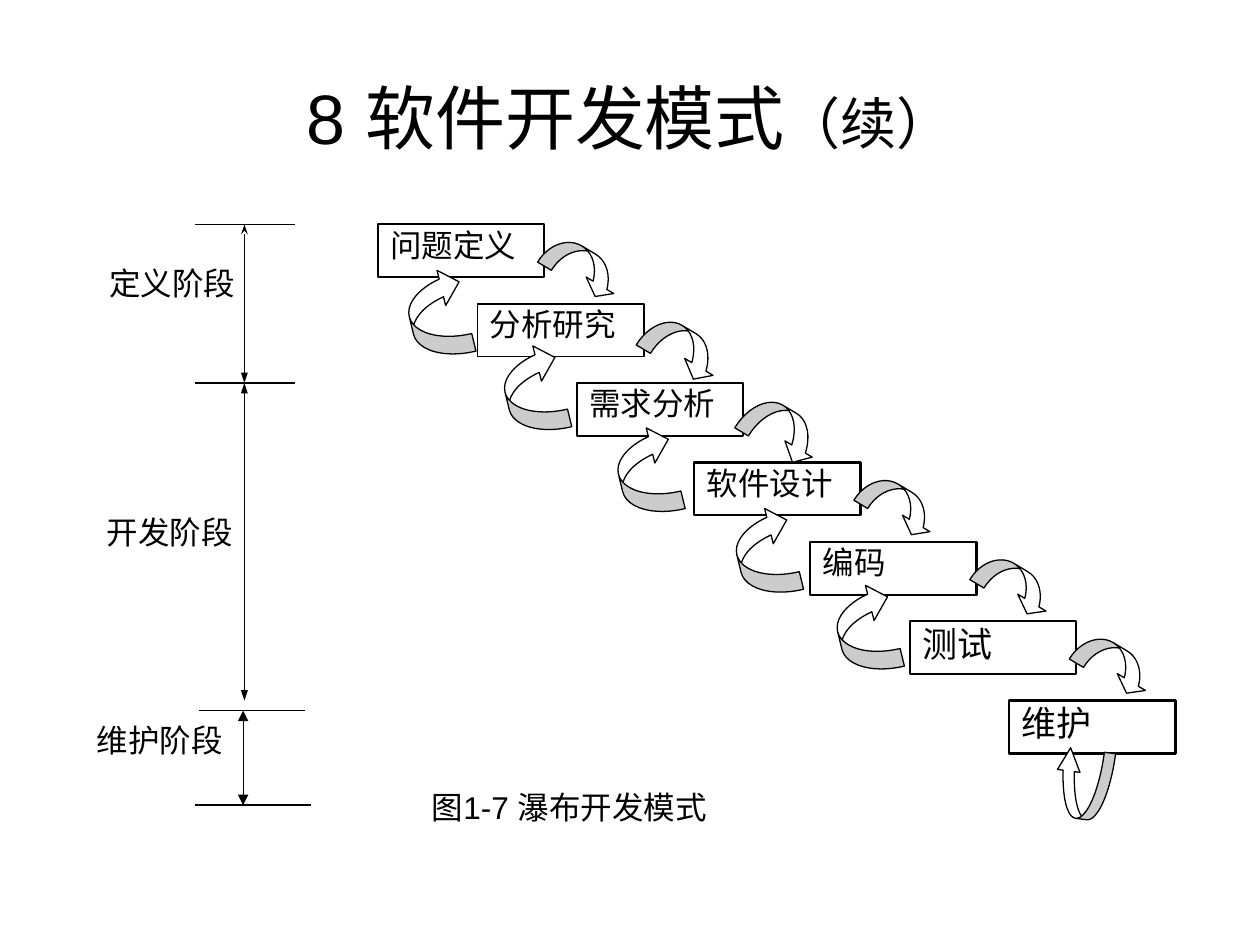
from dataclasses import dataclass

from lxml import etree
from pptx import Presentation
from pptx.dml.color import RGBColor
from pptx.enum.shapes import MSO_CONNECTOR, MSO_SHAPE
from pptx.enum.text import MSO_ANCHOR, PP_ALIGN
from pptx.oxml.ns import qn
from pptx.util import Inches, Pt

RECT = MSO_SHAPE.RECTANGLE
DOWN_ARROW = MSO_SHAPE.CURVED_DOWN_ARROW
LEFT_ARROW = MSO_SHAPE.CURVED_LEFT_ARROW
STRAIGHT = MSO_CONNECTOR.STRAIGHT
TOP, MIDDLE = MSO_ANCHOR.TOP, MSO_ANCHOR.MIDDLE
LEFT, CENTER, JUSTIFY = PP_ALIGN.LEFT, PP_ALIGN.CENTER, PP_ALIGN.JUSTIFY
TITLE_ONLY = 5


@dataclass(frozen=True)
class Theme:
    font: str = "Arial"
    ink: RGBColor = RGBColor(0, 0, 0)
    paper: RGBColor = RGBColor(255, 255, 255)
    title: int = 40
    suffix: int = 32
    large: int = 20
    body: int = 18
    thin: float = 0.75
    border: float = 1.25


def grid(cells):
    """Lengths on a grid of 100 columns by 75 rows, each a tenth of an inch."""
    return Inches(round(cells / 10, 3))


class SlideBuilder:
    def __init__(self, page, theme):
        self.page = page
        self.theme = theme

    def add_run(self, para, text, size):
        span = para.add_run()
        span.text = text
        span.font.name = self.theme.font
        span.font.size = Pt(size)
        span.font.color.rgb = self.theme.ink

    def title(self, frame, spans):
        box = self.page.shapes.title
        box.left, box.top, box.width, box.height = map(grid, frame)
        box.text_frame.vertical_anchor = MIDDLE
        para = box.text_frame.paragraphs[0]
        para.alignment = CENTER
        for text, size in spans:
            self.add_run(para, text, size)

    def text(self, frame, text, align=JUSTIFY):
        box = self.page.shapes.add_textbox(*map(grid, frame))
        box.text_frame.word_wrap = True
        para = box.text_frame.paragraphs[0]
        para.alignment = align
        self.add_run(para, text, self.theme.body)
        return para

    def shape(self, kind, frame, width):
        shape = self.page.shapes.add_shape(kind, *map(grid, frame))
        shape.shadow.inherit = False
        shape.line.color.rgb = self.theme.ink
        shape.line.width = Pt(width)
        return shape

    def stage(self, frame, text, size, align, width):
        box = self.shape(RECT, frame, width)
        box.fill.background()
        body = box.text_frame
        body.word_wrap = True
        body.vertical_anchor = TOP
        body.margin_left = body.margin_right = grid(1)
        body.margin_top = body.margin_bottom = grid(0.1)
        para = body.paragraphs[0]
        para.alignment = align
        self.add_run(para, text, size)

    def curved_arrow(self, kind, frame, rotation, adjustments):
        arrow = self.shape(kind, frame, self.theme.thin)
        arrow.fill.solid()
        arrow.fill.fore_color.rgb = self.theme.paper
        arrow.rotation = rotation
        for index, value in enumerate(adjustments):
            arrow.adjustments[index] = value

    def line(self, start, end, head=None, tail=None, head_width="med"):
        line = self.page.shapes.add_connector(STRAIGHT, *map(grid, start + end))
        line.line.color.rgb = self.theme.ink
        line.line.width = Pt(self.theme.thin)
        outline = line.line._get_or_add_ln()
        for tag, kind in (("a:headEnd", head), ("a:tailEnd", tail)):
            if kind:
                etree.SubElement(outline, qn(tag), type=kind, w=head_width, len="med")
        etree.SubElement(line._element.spPr, qn("a:effectLst"))


def main():
    theme = Theme()
    deck = Presentation()
    deck.slide_width, deck.slide_height = grid(100), grid(75)
    page = deck.slides.add_slide(deck.slide_layouts[TITLE_ONLY])
    builder = SlideBuilder(page, theme)

    builder.title((5, 3, 90, 12.5),
                  [("8 软件开发模式", theme.title), ("（续）", theme.suffix)])

    # Staircase of stages: name, left edge, size, alignment, border
    top, step = 17.8, 6.3
    stages = [
        ("问题定义", 30, theme.body, JUSTIFY, theme.border),
        ("分析研究", 37.9, theme.body, JUSTIFY, 1),
        ("需求分析", 45.8, theme.body, JUSTIFY, theme.border),
        ("软件设计", 55.1, theme.body, JUSTIFY, theme.border),
        ("编码", 64.3, theme.body, LEFT, theme.border),
        ("测试", 72.2, theme.large, LEFT, theme.border),
        ("维护", 80.1, theme.large, LEFT, theme.border),
    ]
    for row, (name, left, size, align, width) in enumerate(stages):
        builder.stage((left, top + row * step, 13.2, 4.2), name, size, align, width)

    # Forward arrows: height and bend; each leaves its stage at the right
    forward = [(2.9, 0.44), (3.2, 0.41), (3.5, 0.36), (2.9, 0.44), (2.9, 0.45), (2.9, 0.45)]
    for row, (height, bend) in enumerate(forward):
        frame = (stages[row][1] + 12.95, top + 2 + row * step, 6.6, height)
        builder.curved_arrow(DOWN_ARROW, frame, 30.9, (bend, 2 * bend, 0.33))

    # Return arrows, below the stage they lead back to
    returns = [(32.5, 21.4), (40.1, 27.4), (49.1, 33.9), (58.5, 40.3), (66.5, 46.4)]
    for left, upper in returns:
        builder.curved_arrow(LEFT_ARROW, (left, upper, 4.5, 7.1), 166.3, (0.32, 0.64, 0.33))

    # Maintenance loops back to itself
    builder.curved_arrow(LEFT_ARROW, (83.2, 60, 5.5, 4.5), 97.6, (0.2, 0.4, 0.41))

    # Phase boundaries
    for left, right, level in [(15.5, 23.4, 17.8), (15.5, 23.4, 30.4),
                               (15.8, 24.2, 56.4), (15.5, 24.7, 63.9)]:
        builder.line((left, level), (right, level))

    # Phase spans
    builder.line((19.4, 17.8), (19.4, 30.4), "stealth", "triangle", "sm")
    builder.line((19.4, 30.4), (19.4, 55.6), "triangle", "triangle", "sm")
    builder.line((19.3, 56.4), (19.3, 63.9), "triangle", "triangle")

    # Phase names
    for name, left, upper in [("定义阶段", 7.7, 20.5), ("开发阶段", 7.5, 40.2),
                              ("维护阶段", 6.7, 56.7)]:
        builder.text((left, upper, 13.2, 6.3), name)

    # Caption
    caption = builder.text((33.3, 62.5, 38.3, 5.8), "图1-7 瀑布开发模式", LEFT)
    caption.line_spacing = 0.85

    deck.save("out.pptx")


if __name__ == "__main__":
    main()
